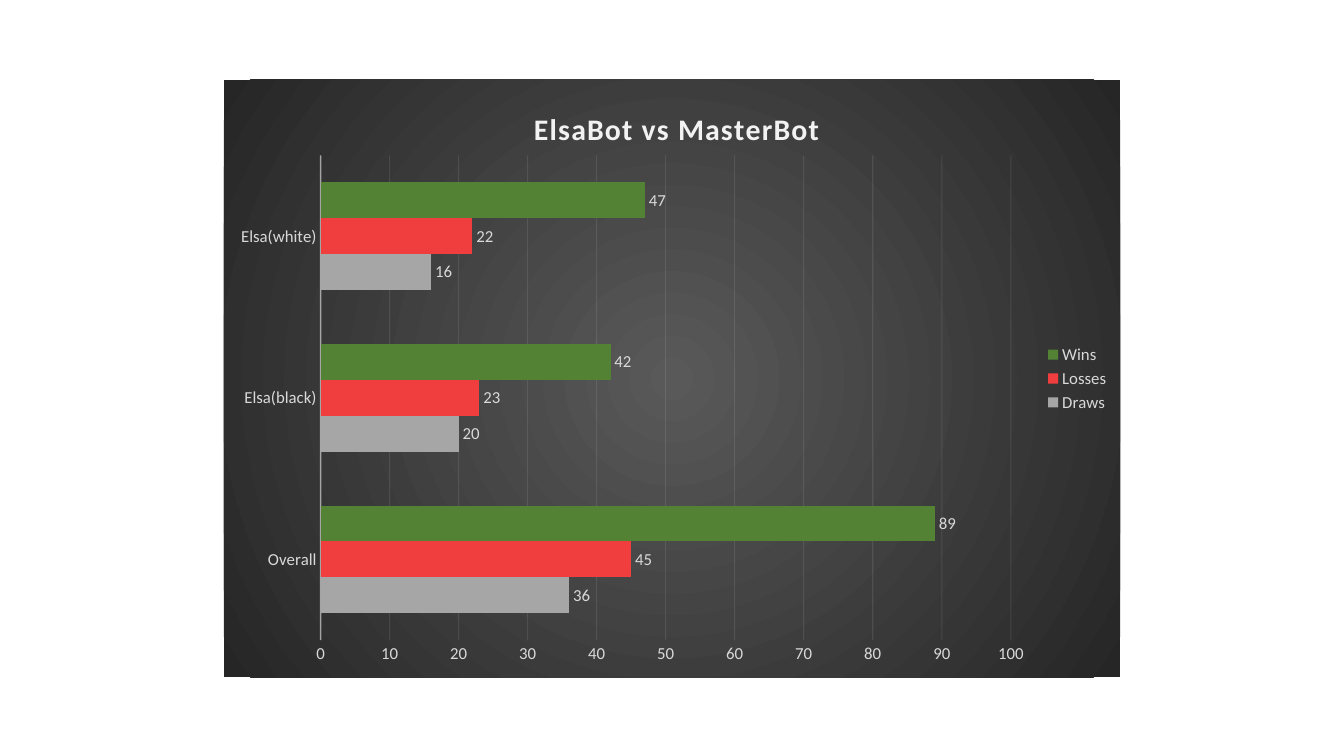
from dataclasses import dataclass

from lxml import etree
from pptx import Presentation
from pptx.chart.data import CategoryChartData
from pptx.dml.color import RGBColor
from pptx.enum.chart import (XL_CHART_TYPE, XL_LABEL_POSITION,
                             XL_LEGEND_POSITION, XL_TICK_MARK)
from pptx.oxml import parse_xml
from pptx.oxml.ns import nsdecls, qn
from pptx.util import Inches, Pt

BAR_CLUSTERED = XL_CHART_TYPE.BAR_CLUSTERED
OUTSIDE_END = XL_LABEL_POSITION.OUTSIDE_END
LEGEND_RIGHT = XL_LEGEND_POSITION.RIGHT
NO_TICK = XL_TICK_MARK.NONE


@dataclass(frozen=True)
class Theme:
    font: str = "Calibri"
    title_size: float = 21.3
    label_size: float = 12
    title_color: str = "F2F2F2"
    label_color: str = "D9D9D9"
    line_color: str = "F2F2F2"
    glow_center: str = "595959"
    glow_edge: str = "262626"


RESULTS = ["Overall", "Elsa(black)", "Elsa(white)"]
OUTCOMES = [
    ("Draws", (36, 20, 16), "A6A6A6"),
    ("Losses", (45, 23, 22), "F03E3E"),
    ("Wins", (89, 42, 47), "548235"),
]


def style_font(font, name, size, color, bold=False):
    font.name = name
    font.size = Pt(size)
    font.bold = bold
    font.color.rgb = RGBColor.from_string(color)


def write_text(frame, text, spacing=0, **font_format):
    """Put one run into the frame; spacing is in hundredths of a point."""
    run = frame.paragraphs[0].add_run()
    run.text = text
    style_font(run.font, **font_format)
    run.font._element.set("spc", str(spacing))


def place(element, index, **fractions):
    """Set a manual layout, as fractions of the chart's size."""
    for old_layout in element.findall(qn("c:layout")):
        element.remove(old_layout)
    layout = etree.Element(qn("c:layout"))
    manual = etree.SubElement(layout, qn("c:manualLayout"))
    settings = {"xMode": "edge", "yMode": "edge", **fractions}
    if "w" in fractions:
        settings = {"layoutTarget": "inner", **settings}
    for key, value in settings.items():
        etree.SubElement(manual, qn(f"c:{key}")).set("val", str(value))
    element.insert(index, layout)


class ChartSlide:
    def __init__(self, slide, theme):
        self.slide = slide
        self.theme = theme

    def label_font(self, font):
        style_font(font, self.theme.font, self.theme.label_size,
                   self.theme.label_color)

    def add_bars(self, left, top, width, height):
        data = CategoryChartData()
        data.categories = RESULTS
        for name, values, _ in OUTCOMES:
            data.add_series(name, values)
        chart = self.slide.shapes.add_chart(
            BAR_CLUSTERED, Inches(left), Inches(top),
            Inches(width), Inches(height), data).chart
        self.label_font(chart.font)
        bars = chart.plots[0]
        bars.gap_width = 150
        bars.overlap = 0
        bars.vary_by_categories = False
        for series, (_, _, color) in zip(bars.series, OUTCOMES):
            series.format.fill.solid()
            series.format.fill.fore_color.rgb = RGBColor.from_string(color)
            labels = series.data_labels
            labels.show_value = True
            labels.position = OUTSIDE_END
            self.label_font(labels.font)
        place(chart.element.find(".//" + qn("c:plotArea")), 0,
              x=0.108, y=0.127, w=0.77, h=0.811)
        return chart

    def add_title(self, chart, text):
        chart.has_title = True
        title = chart.chart_title
        write_text(title.text_frame, text, spacing=100, name=self.theme.font,
                   size=self.theme.title_size, color=self.theme.title_color,
                   bold=True)
        place(title._element, 1, x=0.34, y=0.04)

    def add_legend(self, chart):
        chart.has_legend = True
        chart.legend.position = LEGEND_RIGHT
        chart.legend.include_in_layout = False
        self.label_font(chart.legend.font)

    def style_line(self, line, width):
        line.width = Pt(width)
        line.color.rgb = RGBColor.from_string(self.theme.line_color)

    def style_axes(self, chart):
        for axis in (chart.category_axis, chart.value_axis):
            axis.major_tick_mark = axis.minor_tick_mark = NO_TICK
            self.label_font(axis.tick_labels.font)
        self.style_line(chart.category_axis.format.line, 1)
        scale = chart.value_axis
        scale.minimum_scale, scale.maximum_scale = 0, 100
        scale.major_unit = 10
        scale.format.line.fill.background()
        scale.has_major_gridlines = True
        self.style_line(scale.major_gridlines.format.line, 0.75)
        for parent, opacity in (("c:catAx", 54), ("c:majorGridlines", 10)):
            for color in chart.element.xpath(
                    f".//{parent}/c:spPr/a:ln//a:srgbClr"):
                etree.SubElement(color, qn("a:alpha")).set(
                    "val", str(opacity * 1000))

    def add_glow(self, chart):
        """Fill the chart's background from its centre outwards."""
        theme = self.theme
        chart.element.find(qn("c:chart")).addnext(parse_xml(
            f'<c:spPr {nsdecls("c", "a")}><a:gradFill><a:gsLst>'
            f'<a:gs pos="0"><a:srgbClr val="{theme.glow_center}"/></a:gs>'
            f'<a:gs pos="100000"><a:srgbClr val="{theme.glow_edge}"/></a:gs>'
            '</a:gsLst><a:path path="circle"><a:fillToRect l="50000" '
            't="50000" r="50000" b="50000"/></a:path></a:gradFill>'
            '<a:ln><a:noFill/></a:ln></c:spPr>'))


def main():
    deck = Presentation()
    deck.slide_width, deck.slide_height = Inches(13.33), Inches(7.5)
    page = ChartSlide(deck.slides.add_slide(deck.slide_layouts[6]), Theme())
    match_chart = page.add_bars(2.22, 0.79, 8.89, 5.93)
    page.add_title(match_chart, "ElsaBot vs MasterBot")
    page.add_legend(match_chart)
    page.style_axes(match_chart)
    page.add_glow(match_chart)
    deck.save("out.pptx")


if __name__ == "__main__":
    main()
